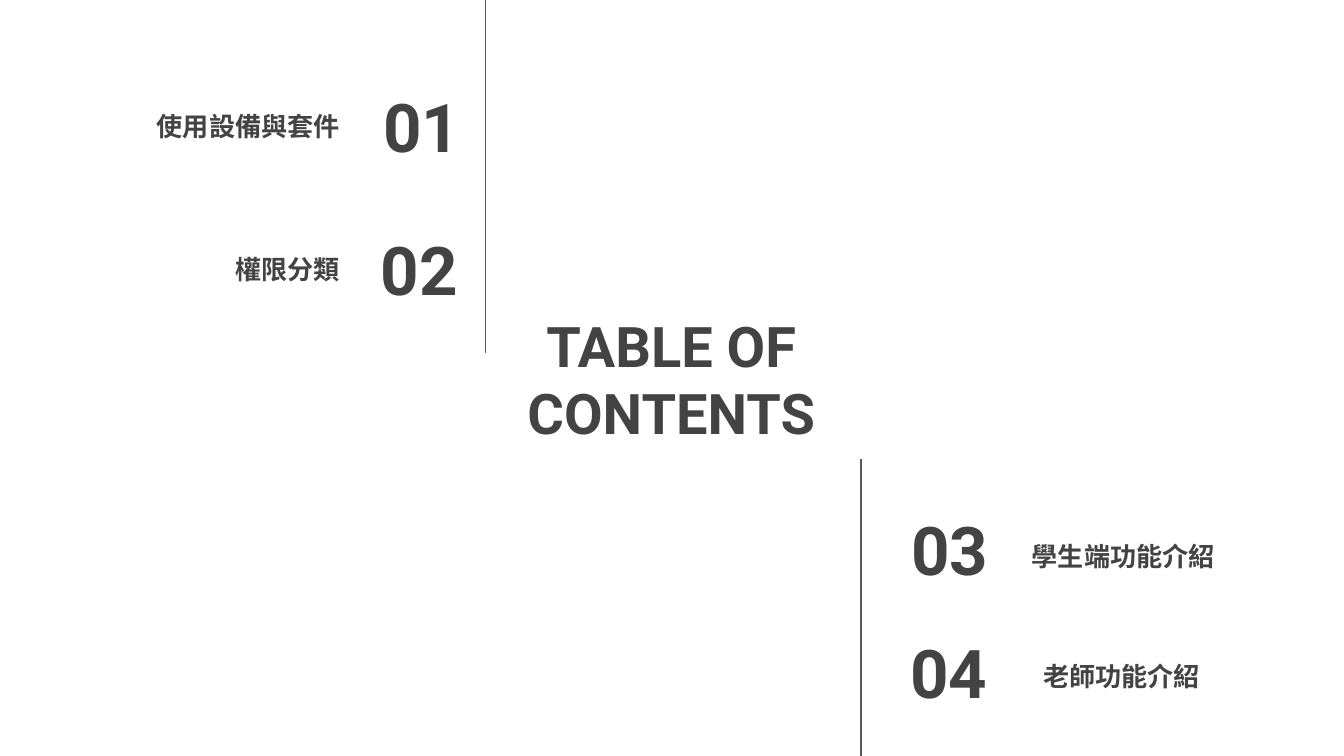
from collections import namedtuple

from lxml.etree import SubElement
from pptx import Presentation
from pptx.dml.color import RGBColor
from pptx.enum.shapes import MSO_CONNECTOR
from pptx.enum.text import MSO_ANCHOR as Anchor, MSO_AUTO_SIZE as AutoSize, PP_ALIGN as Align
from pptx.oxml.ns import qn
from pptx.util import Pt

PX = 9525
INK = RGBColor(0x43, 0x43, 0x43)
RULE = RGBColor(0x59, 0x59, 0x59)
FONT = "Roboto"
INSET = 10
NUMBER_SIZE = (116, 60)
LABEL_SIZE = (207, 60)

Box = namedtuple("Box", "left top width height")
Entry = namedtuple("Entry", "number number_at label label_at align anchor")


def style_text(shape, text, size, align, anchor=Anchor.MIDDLE):
    frame = shape.text_frame
    frame.text = text
    frame.word_wrap = True
    frame.auto_size = AutoSize.NONE
    frame.vertical_anchor = anchor
    frame.margin_left = frame.margin_right = INSET * PX
    frame.margin_top = frame.margin_bottom = INSET * PX
    para = frame.paragraphs[0]
    para.alignment = align
    span = para.runs[0]
    span.font.name = FONT
    span.font.size = Pt(size)
    span.font.bold = True
    span.font.color.rgb = INK
    SubElement(span._r.get_or_add_rPr(), qn("a:ea"), typeface=FONT)


def add_heading(page, box):
    title = page.shapes.title
    title.left, title.top, title.width, title.height = (length * PX for length in box)
    style_text(title, "TABLE OF CONTENTS", 30, Align.CENTER)


def add_text(page, box, offset, size, text, points, align, anchor=Anchor.MIDDLE):
    left, top = box.left + offset[0], box.top + offset[1]
    shape = page.shapes.add_textbox(left * PX, top * PX, size[0] * PX, size[1] * PX)
    style_text(shape, text, points, align, anchor)


def add_section(page, box, rule_x, entries):
    x = (box.left + rule_x) * PX
    rule = page.shapes.add_connector(
        MSO_CONNECTOR.STRAIGHT, x, box.top * PX, x, (box.top + box.height) * PX)
    rule.line.color.rgb = RULE
    rule.line.width = Pt(0.75)
    SubElement(rule._element.spPr, qn("a:effectLst"))
    for entry in entries:
        add_text(page, box, entry.number_at, NUMBER_SIZE, entry.number, 36, entry.align)
        add_text(page, box, entry.label_at, LABEL_SIZE, entry.label, 14,
                 entry.align, entry.anchor)


def main():
    deck = Presentation()
    deck.slide_width, deck.slide_height = 960 * PX, 540 * PX
    page = deck.slides.add_slide(deck.slide_layouts[5])
    add_heading(page, Box(355, 221, 249, 99))
    add_section(page, Box(0, 0, 347, 252), 347, [
        Entry("01", (223, 60), "使用設備與套件", (46, 60), Align.RIGHT, Anchor.MIDDLE),
        Entry("02", (221, 162), "權限分類", (46, 162), Align.RIGHT, Anchor.MIDDLE),
    ])
    add_section(page, Box(615, 328, 345, 212), 0, [
        Entry("03", (-15, 34), "學生端功能介紹", (56, 39), Align.RIGHT, Anchor.MIDDLE),
        Entry("04", (25, 122), "老師功能介紹", (120, 116), Align.LEFT, Anchor.BOTTOM),
    ])
    deck.save("out.pptx")


if __name__ == "__main__":
    main()
